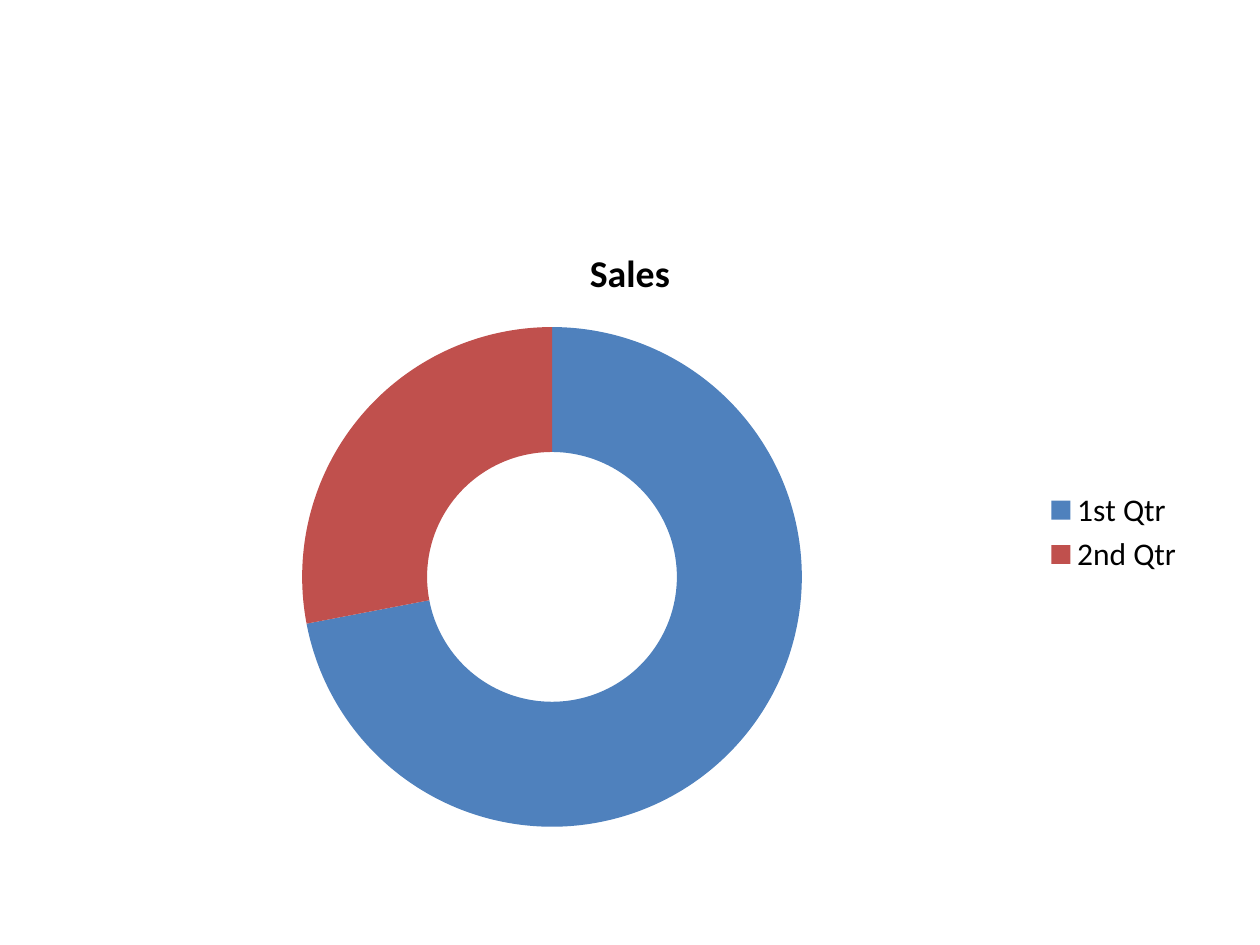
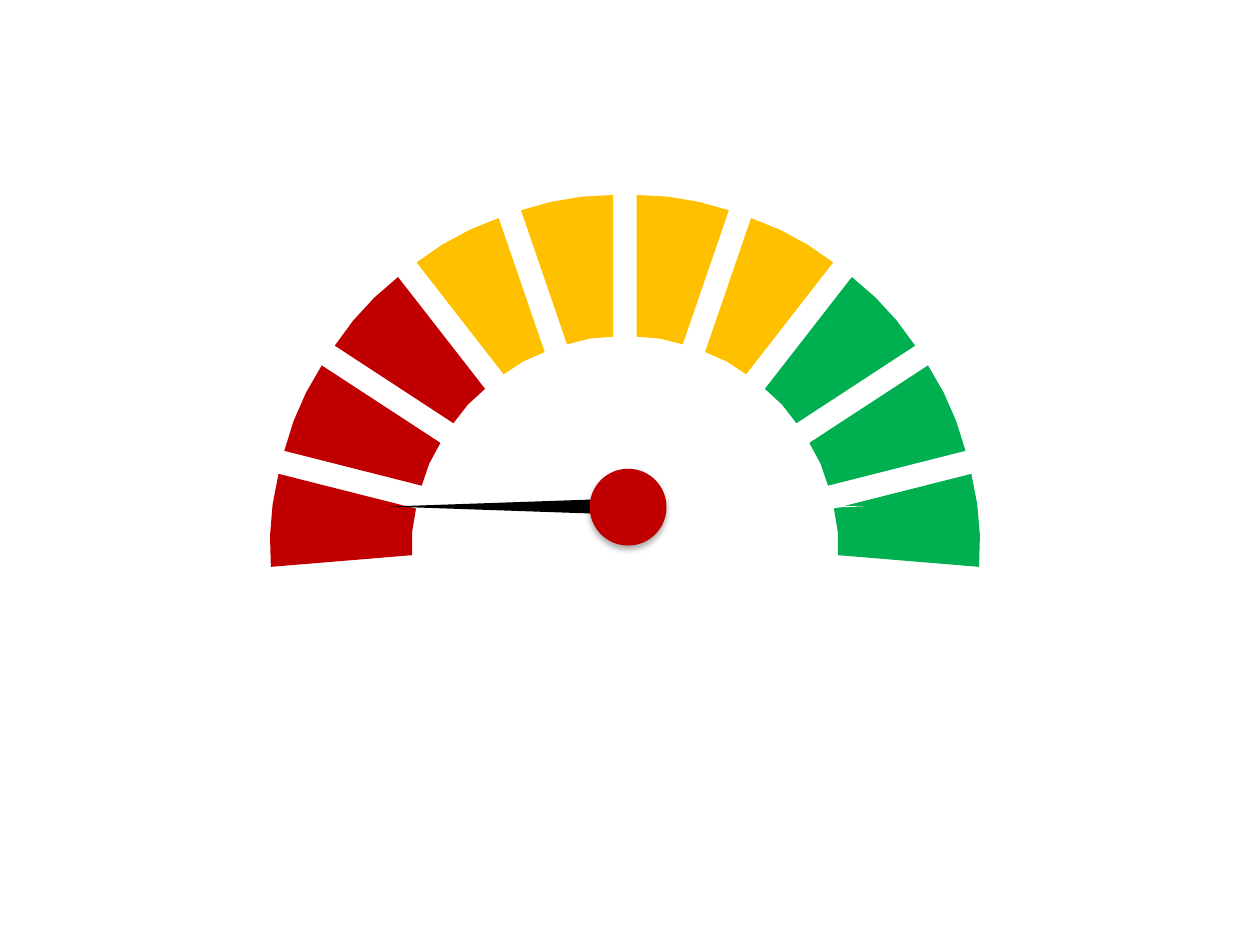
"""Build a sales doughnut slide and a ten-segment gauge slide."""
import math

from lxml import etree
from pptx import Presentation, util as u
from pptx.chart import data
from pptx.dml import color
from pptx.enum import chart as charts, shapes
from pptx.oxml import ns

WIDTH, HEIGHT = u.Inches(10), u.Inches(7.5)
BLUE, BRICK, BLACK, WHITE = "4F81BD", "C0504D", "000000", "FFFFFF"
RED, AMBER, GREEN = "C00000", "FFC000", "00B050"


def paint(item, hex_color):
    item.fill.solid()
    item.fill.fore_color.rgb = color.RGBColor.from_string(hex_color)
    item.line.fill.background()


def write(frame, words, font="Calibri", size=18, bold=False, hex_color=BLACK):
    run = frame.paragraphs[0].add_run()
    run.text = words
    run.font.name, run.font.size, run.font.bold = font, u.Pt(size), bold
    run.font.color.rgb = color.RGBColor.from_string(hex_color)


presentation = Presentation()
presentation.slide_width, presentation.slide_height = WIDTH, HEIGHT
blank = presentation.slide_layouts[6]

sales_slide = presentation.slides.add_slide(blank)
sales = data.CategoryChartData()
sales.categories = ["1st Qtr", "2nd Qtr"]
sales.add_series("Sales", [72, 28])
chart = sales_slide.shapes.add_chart(
    charts.XL_CHART_TYPE.DOUGHNUT, int(WIDTH * 0.05), u.Inches(1.75),
    int(WIDTH * 0.9), int(HEIGHT * 0.66), sales).chart
chart.font.name, chart.font.size = "Calibri", u.Pt(18)
chart.font.color.rgb = color.RGBColor.from_string(BLACK)
chart.has_title = True
write(chart.chart_title.text_frame, "Sales", size=21.6, bold=True)
chart.has_legend = True
chart.legend.position = charts.XL_LEGEND_POSITION.RIGHT
chart.legend.include_in_layout = False
plot = chart.plots[0]
plot.vary_by_categories = True
for index, slice_color in enumerate([BLUE, BRICK]):
    paint(plot.series[0].points[index].format, slice_color)

gauge_slide = presentation.slides.add_slide(blank)
center_x, center_y = u.Inches(4.96), u.Inches(4.36)
outer, spread = u.Inches(2.25), u.Inches(0.57)
inner = outer / 2
segment_colors = [RED] * 3 + [AMBER] * 4 + [GREEN] * 3
sweep = 2 * math.pi / 19
arc_steps = 3
gauge = gauge_slide.shapes.add_group_shape()
for index, segment_color in enumerate(segment_colors):
    start = (index - len(segment_colors) / 2) * sweep
    middle = start + sweep / 2
    origin_x = center_x + spread * math.sin(middle)
    origin_y = center_y - spread * math.cos(middle)
    angles = [start + sweep * step / arc_steps for step in range(arc_steps + 1)]
    rim = [(outer, angle) for angle in angles]
    rim += [(inner, angle) for angle in (angles[-1], middle, angles[0])]
    points = [(origin_x + radius * math.sin(angle),
               origin_y - radius * math.cos(angle)) for radius, angle in rim]
    builder = gauge.shapes.build_freeform(*points[0], scale=1.0)
    builder.add_line_segments(points[1:], close=True)
    segment = builder.convert_to_shape()
    segment.shadow.inherit = False
    paint(segment, segment_color)

pivot_x, pivot_y = u.Inches(4.97), u.Inches(4.02)
needle_width, needle_length = u.Inches(0.13), u.Inches(1.88)
needle = gauge_slide.shapes.add_group_shape()
for side, rotation, needle_color in [(-1, 270, BLACK), (1, 90, WHITE)]:
    middle_x = pivot_x + side * needle_length / 2
    pointer = needle.shapes.add_shape(
        shapes.MSO_SHAPE.ISOSCELES_TRIANGLE, int(middle_x - needle_width / 2),
        int(pivot_y - needle_length / 2), needle_width, needle_length)
    pointer.rotation = rotation
    pointer.shadow.inherit = False
    paint(pointer, needle_color)

hub_size = u.Inches(0.61)
hub = gauge_slide.shapes.add_shape(
    shapes.MSO_SHAPE.OVAL, u.Inches(4.68), u.Inches(3.72), hub_size, hub_size)
hub.shadow.inherit = False
paint(hub, RED)
effects = hub.element.spPr.find(ns.qn("a:effectLst"))
shadow = etree.SubElement(
    effects, ns.qn("a:outerShdw"), blurRad=str(u.Pt(3.5)), dist=str(u.Pt(2.2)),
    dir="5400000", rotWithShape="0")
shade = etree.SubElement(shadow, ns.qn("a:srgbClr"), val=BLACK)
etree.SubElement(shade, ns.qn("a:alpha"), val="32000")

presentation.save("out.pptx")
